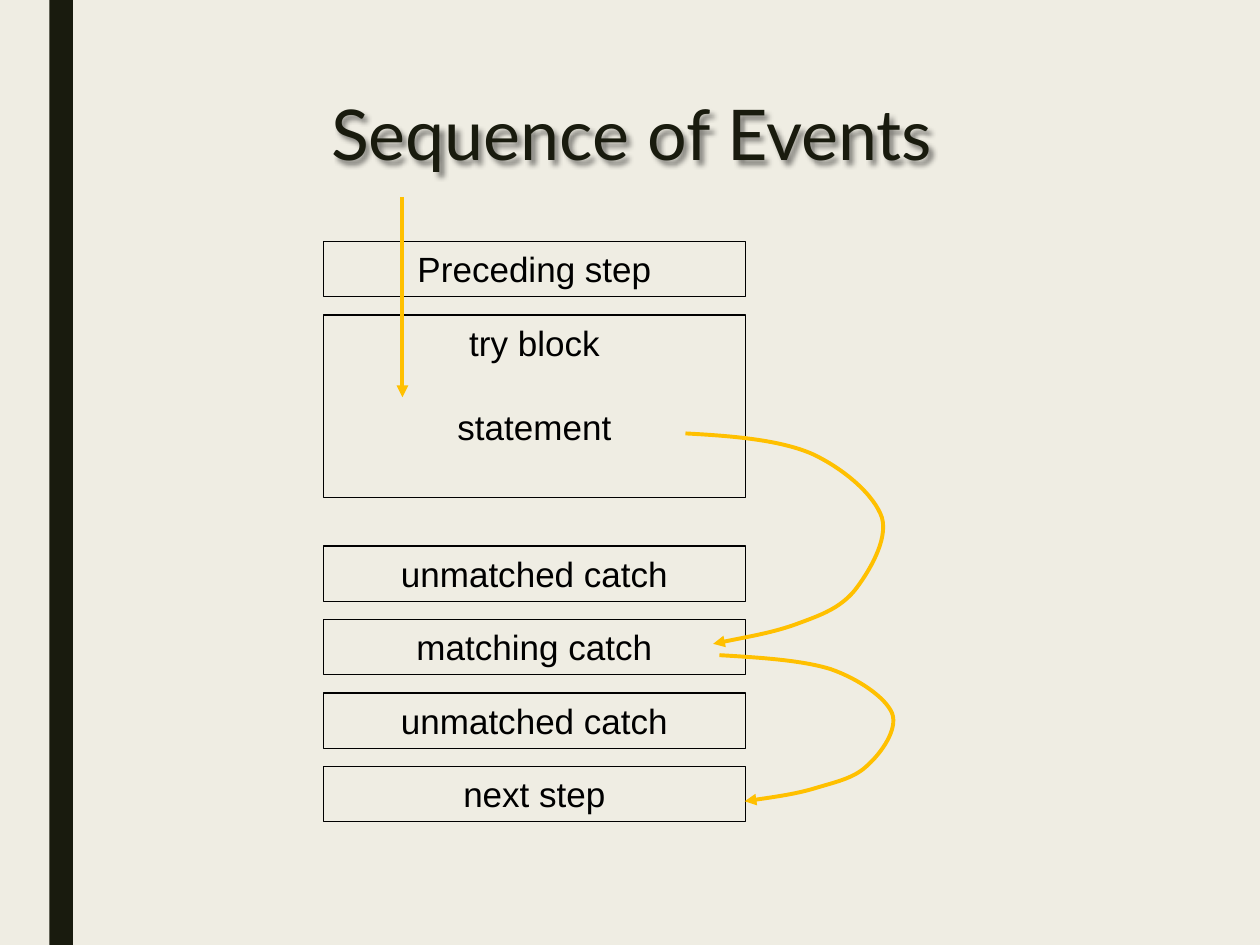
"""Build a slide tracing the flow of control through a try block and its catches."""
import dataclasses

import lxml.etree
import pptx
import pptx.dml.color
import pptx.enum.shapes
import pptx.enum.text
import pptx.oxml
import pptx.oxml.ns
import pptx.util

Pt = pptx.util.Pt
RGB = pptx.dml.color.RGBColor.from_string
qn = pptx.oxml.ns.qn
MSO_SHAPE = pptx.enum.shapes.MSO_SHAPE
CENTER = pptx.enum.text.PP_ALIGN.CENTER
MIDDLE = pptx.enum.text.MSO_ANCHOR.MIDDLE
TOP = pptx.enum.text.MSO_ANCHOR.TOP


@dataclasses.dataclass(frozen=True)
class Theme:
    paper: str = "EFEDE3"
    dark: str = "191B0E"
    ink: str = "000000"
    flow: str = "FFC000"
    title_font: str = "Lato"
    body_font: str = "Arial"
    title_size: int = 40
    body_size: int = 20
    body_leading: int = 24


theme = Theme()


def write(frame, lines, font, size, color):
    frame.text = "\n".join(lines)
    frame.word_wrap = True
    for para in frame.paragraphs:
        para.alignment = CENTER
        for span in para.runs:
            span.font.name = font
            span.font.size = Pt(size)
            span.font.color.rgb = RGB(color)


def style_arrow(arrow):
    arrow.line.color.rgb = RGB(theme.flow)
    arrow.line.width = Pt(2.25)
    outline = arrow.line._get_or_add_ln()
    lxml.etree.SubElement(outline, qn("a:tailEnd"), type="triangle")
    properties = arrow._element.spPr
    if properties.find(qn("a:effectLst")) is None:
        lxml.etree.SubElement(properties, qn("a:effectLst"))


deck = pptx.Presentation()
deck.slide_width, deck.slide_height = Pt(720), Pt(540)
page = deck.slides.add_slide(deck.slide_layouts[6])
page.background.fill.solid()
page.background.fill.fore_color.rgb = RGB(theme.paper)

side_bar = page.shapes.add_shape(MSO_SHAPE.RECTANGLE, Pt(28.2), 0, Pt(13.5), Pt(540))
side_bar.shadow.inherit = False
side_bar.fill.solid()
side_bar.fill.fore_color.rgb = RGB(theme.dark)
side_bar.line.fill.background()

title = page.shapes.add_textbox(Pt(36), Pt(19.5), Pt(660), Pt(113))
title.text_frame.vertical_anchor = MIDDLE
write(title.text_frame, ["Sequence of Events "], theme.title_font, theme.title_size, theme.dark)
title._element.spPr.append(pptx.oxml.parse_xml(
    f'<a:effectLst {pptx.oxml.ns.nsdecls("a")}>'
    '<a:outerShdw blurRad="38100" dist="25400" dir="2700000" algn="tl">'
    '<a:srgbClr val="000000"><a:alpha val="45000"/></a:srgbClr>'
    '</a:outerShdw></a:effectLst>'))

step_height = 31.6
steps = [
    (138, step_height, ["Preceding step"]),
    (180, 104.4, ["try block", "statement"]),
]
for index, label in enumerate(["unmatched catch", "matching catch", "unmatched catch", "next step"]):
    steps.append((312 + 42 * index, step_height, [label]))

for top, height, lines in steps:
    box = page.shapes.add_shape(MSO_SHAPE.RECTANGLE, Pt(184.8), Pt(top), Pt(241.2), Pt(height))
    box.shadow.inherit = False
    box.fill.background()
    box.line.color.rgb = RGB(theme.ink)
    box.line.width = Pt(0.75)
    box.text_frame.vertical_anchor = TOP
    write(box.text_frame, lines, theme.body_font, theme.body_size, theme.ink)
    for para in box.text_frame.paragraphs:
        para.line_spacing = Pt(theme.body_leading)
    for para in box.text_frame.paragraphs[1:]:
        para.space_before = Pt(theme.body_leading)

entry = page.shapes.add_connector(
    pptx.enum.shapes.MSO_CONNECTOR.STRAIGHT, Pt(230), Pt(112.5), Pt(230), Pt(227))
style_arrow(entry)

throw_curve = [
    (5.44, 3.44),
    (5.81, 3.46), (6.18, 3.49), (6.44, 3.6),
    (6.7, 3.72), (6.94, 3.93), (7, 4.11),
    (7.05, 4.29), (6.89, 4.55), (6.78, 4.69),
    (6.66, 4.83), (6.52, 4.88), (6.33, 4.95),
    (6.14, 5.02), (5.9, 5.06), (5.66, 5.11),
]
resume_curve = [
    (5.71, 5.2),
    (6.04, 5.22), (6.36, 5.24), (6.59, 5.31),
    (6.82, 5.39), (7.03, 5.54), (7.08, 5.66),
    (7.13, 5.79), (6.99, 5.98), (6.89, 6.07),
    (6.79, 6.17), (6.66, 6.2), (6.49, 6.25),
    (6.33, 6.3), (6.12, 6.33), (5.91, 6.36),
]
for curve in (throw_curve, resume_curve):
    points = [(Pt(72 * x), Pt(72 * y)) for x, y in curve]
    builder = page.shapes.build_freeform(*points[0])
    builder.add_line_segments(points[1:], close=False)
    arrow = builder.convert_to_shape()
    arrow.shadow.inherit = False
    arrow.fill.background()
    style_arrow(arrow)
    segments = list(arrow._element.iter(qn("a:lnTo")))
    for start in range(0, len(segments), 3):
        bezier = lxml.etree.Element(qn("a:cubicBezTo"))
        segments[start].addprevious(bezier)
        for segment in segments[start:start + 3]:
            bezier.append(segment[0])
            segment.getparent().remove(segment)

deck.save("out.pptx")
